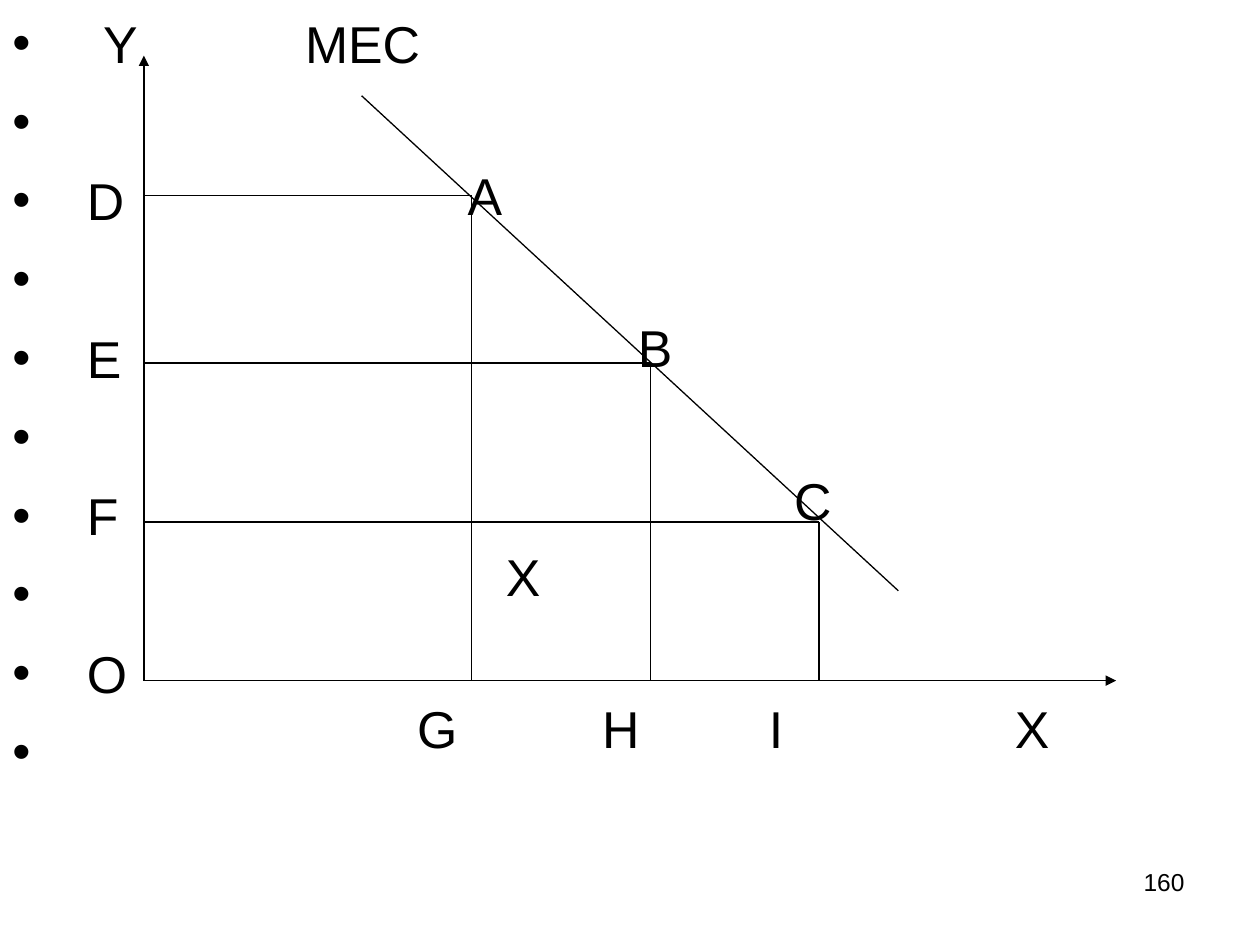
import pptx
import pptx.dml.color
import pptx.enum.shapes
import pptx.enum.text
import pptx.oxml.ns
import pptx.util
from lxml import etree

Cm, Pt = pptx.util.Cm, pptx.util.Pt
qn = pptx.oxml.ns.qn
BLACK = pptx.dml.color.RGBColor(0, 0, 0)

ROW_PITCH = 1.535
LABEL_FORMAT = {"name": "Arial", "size": Pt(29.6)}
NUMBER_FORMAT = {"name": "Arial", "size": Pt(14)}

# Text and left edge of the label in each bulleted row
ROWS = [("Y", 1.83), (" ", 1.23), ("D", 1.5), (" ", 1.23), ("E", 1.5),
        (" ", 1.23), ("F", 1.5), (" ", 1.23), ("O", 1.5), (" ", 1.23)]
# Text, left edge and row of the labels inside the chart
LABELS = [("MEC", 6.15, 0), ("A", 9.43, 2), ("B", 12.86, 4), ("C", 16.01, 6),
          ("X", 10.2, 7), ("G", 8.41, 9), ("H", 12.14, 9), ("I", 15.5, 9),
          ("X", 20.46, 9)]
# Points A, B and C, measured from the top left of the plot
POINTS = [(6.6, 2.82), (10.21, 6.2), (13.61, 9.4)]


def write(p, text, font_format):
    r = p.add_run()
    r.text = text
    for name, value in font_format.items():
        setattr(r.font, name, value)
    r.font.color.rgb = BLACK


def add_box(slide, left, top, width, height, inset_x=0, inset_y=0):
    tf = slide.shapes.add_textbox(Cm(left), Cm(top), Cm(width), Cm(height)).text_frame
    tf.word_wrap = True
    tf.margin_left = tf.margin_right = Cm(inset_x)
    tf.margin_top = tf.margin_bottom = Cm(inset_y)
    return tf


def add_line(slide, start, end, arrow=False):
    line = slide.shapes.add_connector(
        pptx.enum.shapes.MSO_CONNECTOR.STRAIGHT, *map(Cm, start + end))
    line.line.color.rgb = BLACK
    line.line.width = Pt(0.75)
    sp_pr = line._element.spPr
    if arrow:
        etree.SubElement(sp_pr.find(qn("a:ln")), qn("a:tailEnd"), type="triangle")
    etree.SubElement(sp_pr, qn("a:effectLst"))


def add_bullet_rows(slide, left, top, width, height):
    tf = add_box(slide, left, top, width, height, 0.25, 0.13)
    for i, (text, indent) in enumerate(ROWS):
        p = tf.paragraphs[0] if i == 0 else tf.add_paragraph()
        p_pr = p._p.get_or_add_pPr()
        p_pr.set("marL", str(Cm(indent - 0.25 + 0.25)))
        p_pr.set("indent", str(-Cm(indent)))
        if i:
            p.space_before = Pt(9.5)
        etree.SubElement(p_pr, qn("a:buFont"), typeface="Arial")
        etree.SubElement(p_pr, qn("a:buChar"), char="•")
        write(p, text, LABEL_FORMAT)


def add_labels(slide, left, top):
    for text, x, row in LABELS:
        tf = add_box(slide, left + x, top + row * ROW_PITCH, len(text) * 1.2, 1.2)
        write(tf.paragraphs[0], text, LABEL_FORMAT)


def add_plot(slide, left, top, width, height):
    """Draw the axes, the MEC line and the guides from its points to both axes."""
    def at(x, y):
        return left + x, top + y

    origin = at(0, height)
    add_line(slide, origin, at(0, 0), arrow=True)
    add_line(slide, origin, at(width, height), arrow=True)
    add_line(slide, at(4.39, 0.81), at(15.21, 10.79))
    for x, y in POINTS:
        add_line(slide, at(0, y), at(x, y))
        add_line(slide, at(x, y), at(x, height))


def add_page_number(slide, left, top, width, height):
    p = add_box(slide, left, top, width, height, 0.25, 0.13).paragraphs[0]
    p.alignment = pptx.enum.text.PP_ALIGN.RIGHT
    write(p, "160", NUMBER_FORMAT)


def main():
    prs = pptx.Presentation()
    prs.slide_width, prs.slide_height = Cm(25.4), Cm(19.05)
    slide = prs.slides.add_slide(prs.slide_layouts[6])
    add_bullet_rows(slide, 0, 0.1, 25.4, 17.02)
    add_labels(slide, 0, 0.23)
    add_plot(slide, 2.9, 1.12, 19.6, 12.6)
    add_page_number(slide, 18.21, 17.35, 5.92, 1.32)
    prs.save("out.pptx")


if __name__ == "__main__":
    main()
